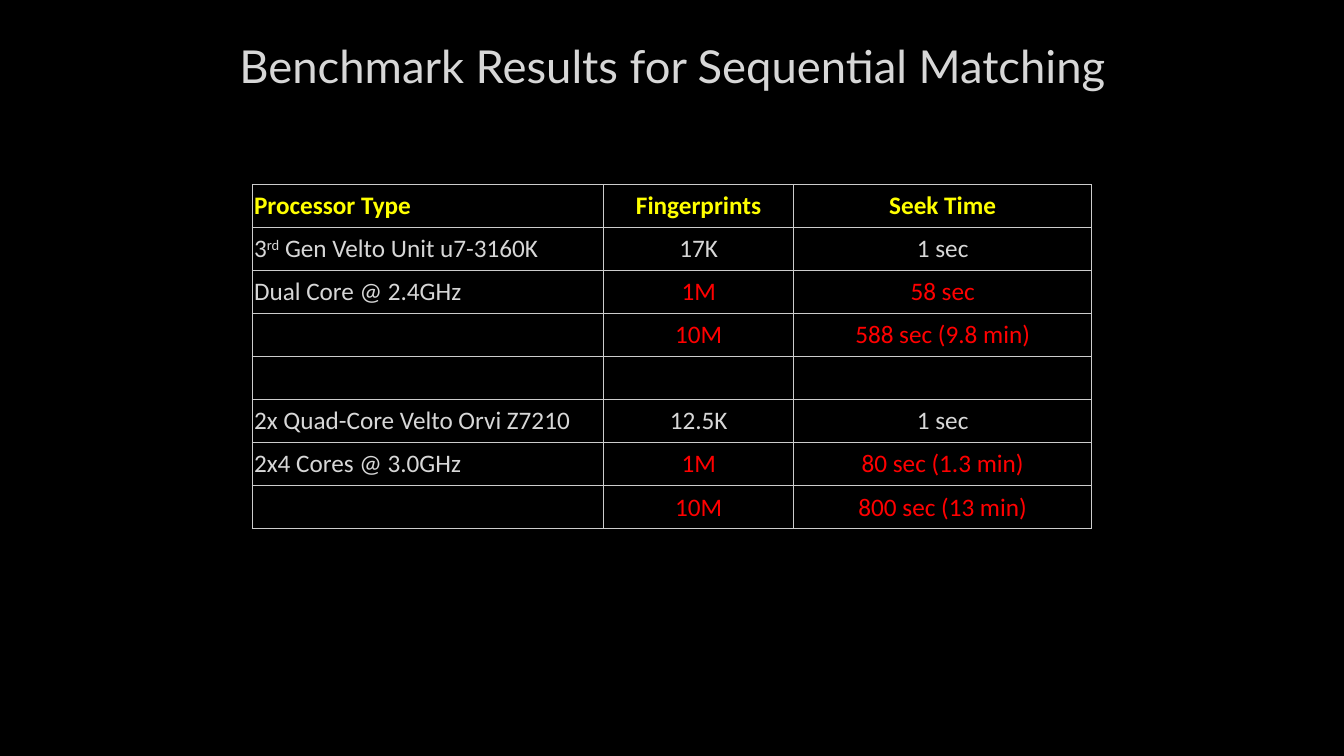
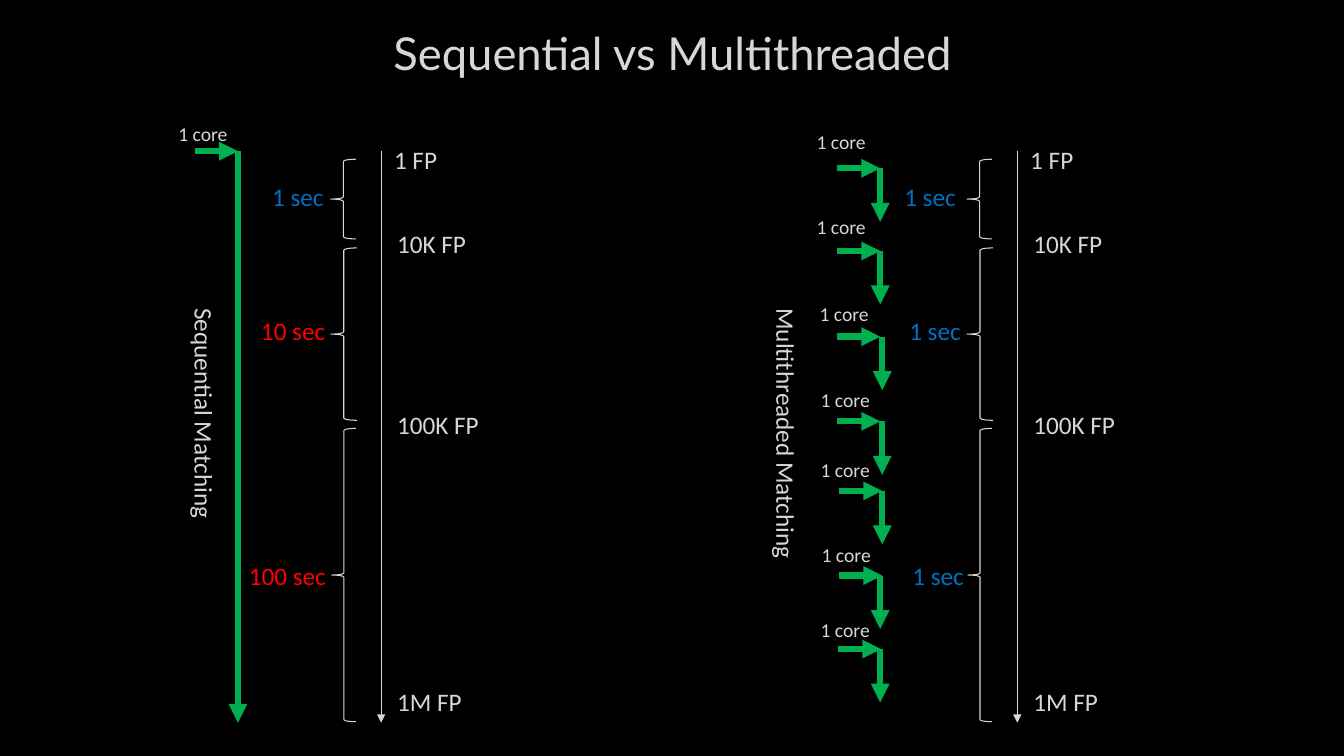
from lxml import etree
from pptx import Presentation
from pptx.dml.color import RGBColor
from pptx.enum.shapes import MSO_CONNECTOR, MSO_SHAPE
from pptx.enum.text import MSO_ANCHOR, PP_ALIGN
from pptx.oxml.ns import qn
from pptx.util import Emu, Pt

LEFT, CENTER = PP_ALIGN.LEFT, PP_ALIGN.CENTER
TOP, MIDDLE = MSO_ANCHOR.TOP, MSO_ANCHOR.MIDDLE
STRAIGHT, BRACE = MSO_CONNECTOR.STRAIGHT, MSO_SHAPE.LEFT_BRACE

# Shared look
EMU_PER_PX = 9144  # 100 px to the inch
BLACK, TEXT, LINE, BORDER = "000000", "D7D7D7", "D8D8D8", "CCCCCC"
YELLOW, RED, BLUE, GREEN = "FFFF00", "FF0000", "0070C0", "00B050"
TITLE_FONT, BODY_FONT = "Lato", "Calibri"
THIN, THICK = 0.75, 4.5

# Slide 1: text between carets is superscript
BENCHMARK_TITLE = "Benchmark Results for Sequential Matching"
TABLE_BOX = (250, 183, 833, 342)
COLUMN_WIDTHS = (349, 188, 296)
BENCHMARK_ROWS = [
    (YELLOW, ("Processor Type", "Fingerprints", "Seek Time")),
    (TEXT, ("3^rd^ Gen Velto Unit u7-3160K", "17K", "1 sec")),
    (RED, ("Dual Core @ 2.4GHz", "1M", "58 sec")),
    (RED, ("", "10M", "588 sec (9.8 min)")),
    (TEXT, ("", "", "")),
    (TEXT, ("2x Quad-Core Velto Orvi Z7210", "12.5K", "1 sec")),
    (RED, ("2x4 Cores @ 3.0GHz", "1M", "80 sec (1.3 min)")),
    (RED, ("", "10M", "800 sec (13 min)")),
]

# Slide 2
COMPARISON_TITLE = "Sequential vs Multithreaded"
AXIS_TOP, AXIS_BOTTOM = 150, 717
# Scale labels: text, offset from axis, top, width
SCALE_LABELS = [("1 FP", 3, 138, 63), ("10K FP", 6, 222, 89),
                ("100K FP", 6, 401, 102), ("1M FP", 6, 676, 85)]
# Braces: offset from axis, top, width, height
BRACES = [(-50, 158, 25, 79), (-50, 246, 26, 171), (-49, 425, 24, 291)]
TIME_TOPS = (175, 308, 551)
CORE_ARROW = 43
# Times: text, colour, left, width
# Cores: label left, label top, arrow left, arrow top, drop left
PANELS = [
    {"heading": "Sequential Matching", "heading_left": 29, "axis": 378,
     "times": [("1 sec", BLUE, 260, 72), ("10 sec", RED, 249, 85),
               ("100 sec", RED, 237, 109)],
     "drop": AXIS_BOTTOM - AXIS_TOP,
     "cores": [(167, 116, 193, 150, 236)]},
    {"heading": "Multithreaded Matching", "heading_left": 606, "axis": 1009,
     "times": [("1 sec", BLUE, 887, 72), ("1 sec", BLUE, 892, 72),
               ("1 sec", BLUE, 895, 72)],
     "drop": 53,
     "cores": [(800, 124, 830, 167, 873), (800, 208, 830, 249, 873),
               (803, 295, 830, 334, 875), (804, 380, 830, 418, 875),
               (804, 449, 832, 487, 875), (805, 534, 832, 571, 873),
               (804, 608, 831, 644, 873)]},
]


def px(*lengths):
    return [Emu(length * EMU_PER_PX) for length in lengths]


def color(value):
    return RGBColor.from_string(value)


def style(paragraph, size, text_color, font=BODY_FONT, align=LEFT, bold=False):
    paragraph.alignment = align
    paragraph.font.name = font
    paragraph.font.size = Pt(size)
    paragraph.font.bold = bold
    paragraph.font.color.rgb = color(text_color)


def add_text(slide, box, text, size=18, text_color=TEXT, wrap=True,
             anchor=TOP, rotation=0, **options):
    shape = slide.shapes.add_textbox(*px(*box))
    shape.rotation = rotation
    frame = shape.text_frame
    frame.word_wrap = wrap
    frame.vertical_anchor = anchor
    paragraph = frame.paragraphs[0]
    paragraph.add_run().text = text
    style(paragraph, size, text_color, **options)


def add_arrow(slide, start, end, line_color, width):
    arrow = slide.shapes.add_connector(STRAIGHT, *px(*start, *end))
    arrow.line.color.rgb = color(line_color)
    arrow.line.width = Pt(width)
    etree.SubElement(arrow.line._get_or_add_ln(), qn("a:tailEnd"), type="triangle")
    etree.SubElement(arrow._element.spPr, qn("a:effectLst"))


def add_slide(presentation, title, title_top):
    slide = presentation.slides.add_slide(presentation.slide_layouts[6])
    slide.background.fill.solid()
    slide.background.fill.fore_color.rgb = color(BLACK)
    add_text(slide, (67, title_top, 1200, 70), title, 32.4,
             anchor=MIDDLE, font=TITLE_FONT, align=CENTER)
    return slide


def add_borders(cell):
    properties = cell._tc.get_or_add_tcPr()
    for side in ("lnL", "lnR", "lnT", "lnB"):
        line = etree.SubElement(properties, qn(f"a:{side}"), w=str(Pt(THIN)))
        fill = etree.SubElement(line, qn("a:solidFill"))
        etree.SubElement(fill, qn("a:srgbClr"), val=BORDER)


def fill_cell(cell, text, text_color, align, bold):
    cell.margin_left, cell.margin_right, cell.margin_top, cell.margin_bottom = px(2, 2, 1, 1)
    cell.vertical_anchor = MIDDLE
    add_borders(cell)
    cell.fill.background()
    paragraph = cell.text_frame.paragraphs[0]
    style(paragraph, 18, text_color, align=align, bold=bold)
    for index, part in enumerate(text.split("^") if text else []):
        run = paragraph.add_run()
        run.text = part
        if index % 2:
            run._r.get_or_add_rPr().set("baseline", "30000")


def build_benchmark(presentation):
    slide = add_slide(presentation, BENCHMARK_TITLE, 30)
    table = slide.shapes.add_table(len(BENCHMARK_ROWS), len(COLUMN_WIDTHS),
                                   *px(*TABLE_BOX)).table
    table.first_row = table.horz_banding = False
    for column, width in zip(table.columns, px(*COLUMN_WIDTHS)):
        column.width = width
    for row_index, (row_color, texts) in enumerate(BENCHMARK_ROWS):
        header = row_index == 0
        for column_index, text in enumerate(texts):
            first = column_index == 0
            text_color = TEXT if first and not header else row_color
            fill_cell(table.cell(row_index, column_index), text, text_color,
                      LEFT if first else CENTER, header)


def add_panel(slide, panel):
    # Fingerprint scale with its braces
    axis = panel["axis"]
    add_arrow(slide, (axis, AXIS_TOP), (axis, AXIS_BOTTOM), LINE, THIN)
    for text, offset, top, width in SCALE_LABELS:
        add_text(slide, (axis + offset, top, width, 40), text, wrap=False)
    for offset, top, width, height in BRACES:
        brace = slide.shapes.add_shape(BRACE, *px(axis + offset, top, width, height))
        brace.shadow.inherit = False
        brace.fill.background()
        brace.line.color.rgb = color(LINE)
        brace.line.width = Pt(THIN)

    # Times and heading
    for (text, text_color, left, width), top in zip(panel["times"], TIME_TOPS):
        add_text(slide, (left, top, width, 40), text, text_color=text_color,
                 wrap=width > 100)
    add_text(slide, (panel["heading_left"], 448, 346, 42), panel["heading"],
             rotation=90)

    # Cores
    for label_left, label_top, left, top, drop_left in panel["cores"]:
        add_arrow(slide, (drop_left, top), (drop_left, top + panel["drop"]), GREEN, THICK)
        add_arrow(slide, (left, top), (left + CORE_ARROW, top), GREEN, THICK)
        add_text(slide, (label_left, label_top, 69, 34), "1 core", 14, wrap=False)


def build_comparison(presentation):
    slide = add_slide(presentation, COMPARISON_TITLE, 17)
    for panel in PANELS:
        add_panel(slide, panel)


def main():
    presentation = Presentation()
    presentation.slide_width, presentation.slide_height = px(1333, 750)
    build_benchmark(presentation)
    build_comparison(presentation)
    presentation.save("out.pptx")


if __name__ == "__main__":
    main()
